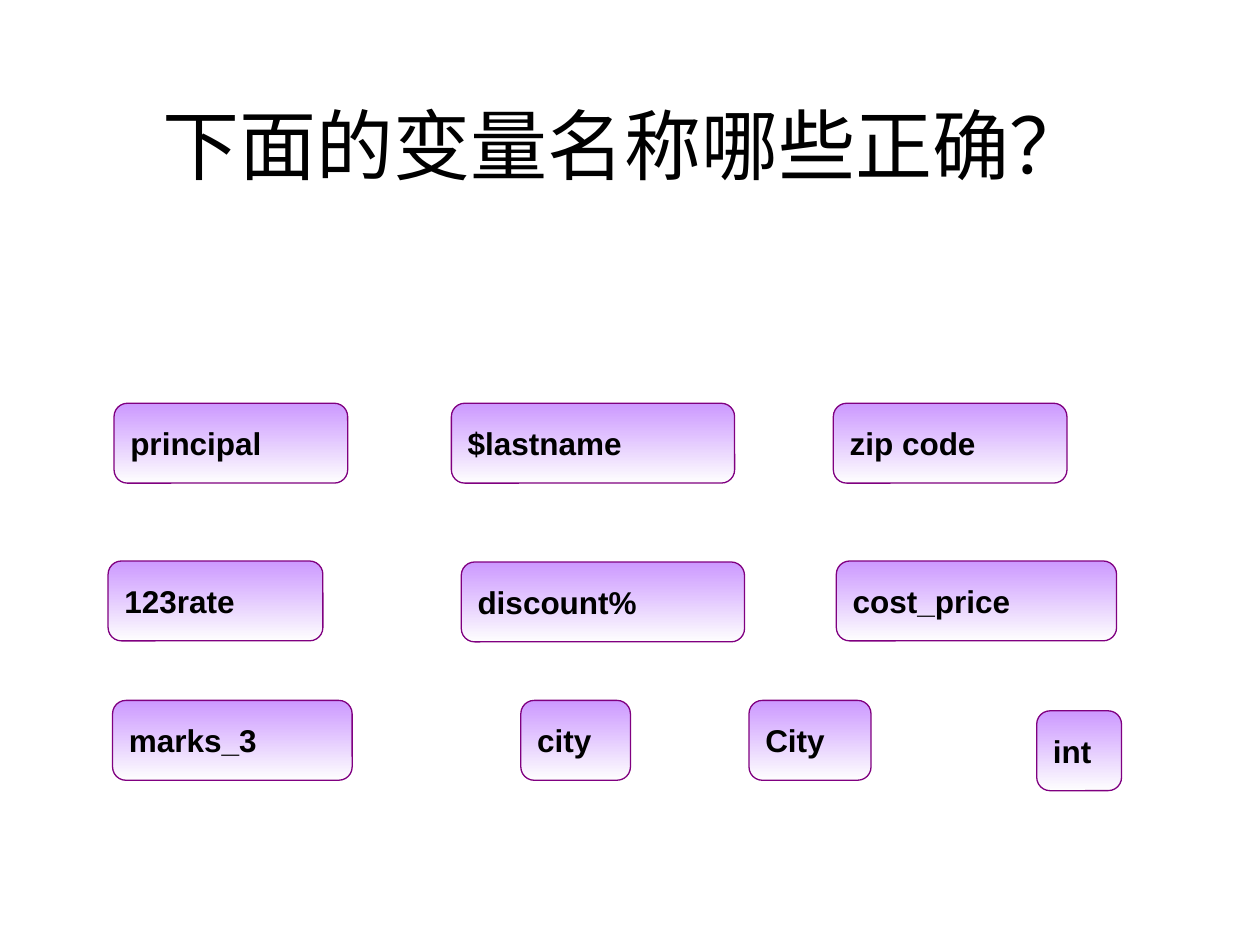
"""Build a quiz slide asking which variable names are valid."""
from dataclasses import dataclass

from pptx import Presentation
from pptx.dml.color import RGBColor
from pptx.enum.shapes import MSO_SHAPE as Shape
from pptx.enum.text import MSO_ANCHOR as Anchor, PP_ALIGN as Align
from pptx.util import Cm, Pt


@dataclass(frozen=True)
class Theme:
    font: str = "Arial"
    title_size: Pt = Pt(44)
    name_size: Pt = Pt(18)
    text: RGBColor = RGBColor(0x00, 0x00, 0x00)
    outline: RGBColor = RGBColor(0x80, 0x00, 0x80)
    gradient: tuple = (RGBColor(0xCC, 0x99, 0xFF), RGBColor(0xFE, 0xFE, 0xFE))


def format_text(frame, text, size, align, bold):
    frame.text = text
    frame.word_wrap = True
    frame.vertical_anchor = Anchor.MIDDLE
    para = frame.paragraphs[0]
    para.alignment = align
    para.font.name = theme.font
    para.font.size = size
    para.font.bold = bold
    para.font.color.rgb = theme.text


theme = Theme()
deck = Presentation()
deck.slide_width, deck.slide_height = Cm(25.4), Cm(19.05)
page = deck.slides.add_slide(deck.slide_layouts[5])

title = page.shapes.title
title.left, title.top, title.width, title.height = Cm(1.9), Cm(0.91), Cm(21.39), Cm(3.99)
format_text(title.text_frame, "下面的变量名称哪些正确？", theme.title_size, Align.CENTER, False)

box_height = Cm(1.61)
names = [
    ("principal", 2.3, 8.13, 4.71),
    ("$lastname", 9.1, 8.13, 5.71),
    ("zip code", 16.8, 8.13, 4.71),
    ("123rate", 2.18, 11.31, 4.33),
    ("discount%", 9.3, 11.33, 5.71),
    ("cost_price", 16.86, 11.31, 5.65),
    ("marks_3", 2.27, 14.12, 4.83),
    ("city", 10.5, 14.12, 2.21),
    ("City", 15.1, 14.12, 2.46),
    ("int", 20.9, 14.33, 1.71),
]
for name, left, top, width in names:
    box = page.shapes.add_shape(
        Shape.ROUNDED_RECTANGLE, Cm(left), Cm(top), Cm(width), box_height
    )
    box.shadow.inherit = False
    box.fill.gradient()
    box.fill.gradient_angle = 270
    for stop, color in zip(box.fill.gradient_stops, theme.gradient):
        stop.color.rgb = color
    box.line.color.rgb = theme.outline
    box.line.width = Pt(0.75)
    format_text(box.text_frame, name, theme.name_size, Align.LEFT, True)

deck.save("out.pptx")
